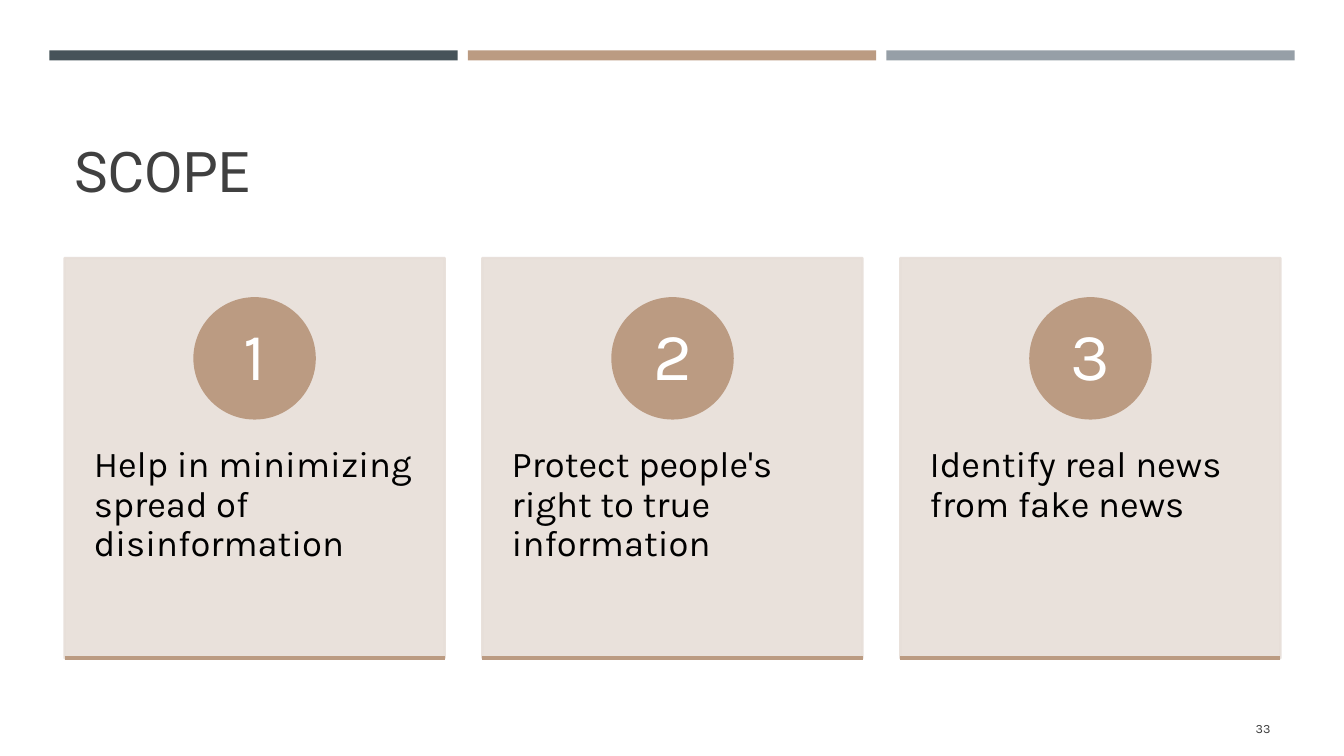
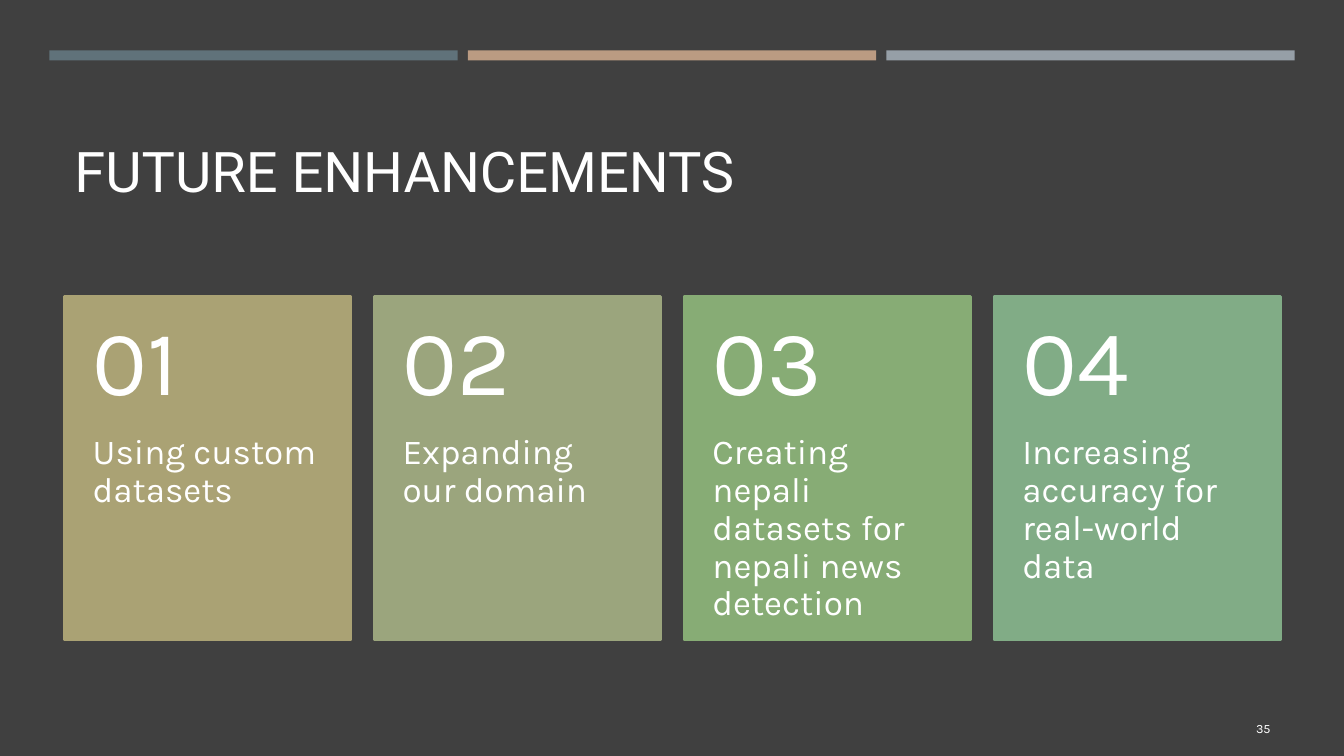
from dataclasses import dataclass

import pptx
import pptx.dml.color
import pptx.enum.shapes
import pptx.enum.text
import pptx.oxml.ns
import pptx.util
from lxml import etree

Inches = pptx.util.Inches
Shape = pptx.enum.shapes.MSO_SHAPE
Anchor = pptx.enum.text.MSO_ANCHOR
Align = pptx.enum.text.PP_ALIGN
qn = pptx.oxml.ns.qn


@dataclass(frozen=True)
class Theme:
    heading_font: str = "Roboto"
    body_font: str = "Karla"
    title_size: int = 40
    badge_size: int = 48
    scope_size: int = 26
    number_size: int = 66
    step_size: int = 25
    footer_size: int = 9
    outline: float = 1.75
    white: str = "FFFFFF"
    black: str = "000000"
    charcoal: str = "404040"
    slate: str = "465359"
    light_slate: str = "60727A"
    tan: str = "BB9B82"
    gray: str = "969FA7"
    sand: str = "E7DED8"
    steps: tuple = ("AAA274", "9BA57D", "87AC75", "81AC86")


def rgb(code):
    return pptx.dml.color.RGBColor.from_string(code)


class Deck:
    left = 0.64
    content_width = 12.06

    def __init__(self, theme):
        self.theme = theme
        self.deck = pptx.Presentation()
        self.deck.slide_width = Inches(13.33)
        self.deck.slide_height = Inches(7.5)
        self.slide = None

    def page(self, title, number, background, ink, first_band):
        theme = self.theme
        self.slide = self.deck.slides.add_slide(self.deck.slide_layouts[6])
        fill = self.slide.background.fill
        fill.solid()
        fill.fore_color.rgb = rgb(background)
        for index, color in enumerate((first_band, theme.tan, theme.gray)):
            self.shape(Shape.RECTANGLE, (0.49 + 4.15 * index, 0.5, 4.05, 0.1), color)
        self.text(title, (self.left, 0.77, self.content_width, 1.3), theme.title_size, ink,
                  font=theme.heading_font, anchor=Anchor.BOTTOM)
        self.text(number, (11.55, 7.03, 1.15, 0.4), theme.footer_size, ink,
                  anchor=Anchor.MIDDLE, align=Align.RIGHT)

    def columns(self, count, width):
        step = (self.content_width - width) / (count - 1)
        return [self.left + step * index for index in range(count)]

    def shape(self, kind, place, color, outlined=False, opacity=100):
        shape = self.slide.shapes.add_shape(kind, *map(Inches, place))
        shape.shadow.inherit = False
        shape.fill.solid()
        shape.fill.fore_color.rgb = rgb(color)
        if outlined:
            shape.line.color.rgb = rgb(color)
            shape.line.width = pptx.util.Pt(self.theme.outline)
        else:
            shape.line.fill.background()
        if opacity < 100:
            for tint in shape.element.spPr.iter(qn("a:srgbClr")):
                etree.SubElement(tint, qn("a:alpha"), val=str(opacity * 1000))

    def rule(self, left, top, width, color):
        line = self.slide.shapes.add_connector(
            pptx.enum.shapes.MSO_CONNECTOR.STRAIGHT,
            Inches(left), Inches(top), Inches(left + width), Inches(top))
        line.line.color.rgb = rgb(color)
        line.line.width = pptx.util.Pt(2 * self.theme.outline - 1)
        etree.SubElement(line.element.spPr, qn("a:effectLst"))

    def text(self, words, place, size, color, font=None, anchor=Anchor.TOP,
             align=Align.LEFT, insets=(0.1, 0.05, 0.1, 0.05), spacing=1.0):
        box = self.slide.shapes.add_textbox(*map(Inches, place))
        frame = box.text_frame
        frame.word_wrap = True
        frame.vertical_anchor = anchor
        (frame.margin_left, frame.margin_top,
         frame.margin_right, frame.margin_bottom) = map(Inches, insets)
        frame.text = words
        para = frame.paragraphs[0]
        para.alignment = align
        para.line_spacing = spacing
        for span in para.runs:
            span.font.name = font or self.theme.body_font
            span.font.size = pptx.util.Pt(size)
            span.font.color.rgb = rgb(color)

    def scope_card(self, left, width, number, words):
        theme = self.theme
        self.shape(Shape.RECTANGLE, (left, 2.56, width, 3.97), theme.sand, True, 90)
        self.text(words, (left, 4.07, width, 2.38), theme.scope_size, theme.black,
                  insets=(0.29, 0.36, 0.29, 0.36), spacing=0.9)
        badge = 1.19
        place = (left + (width - badge) / 2, 2.96, badge, badge)
        self.shape(Shape.OVAL, place, theme.tan, True)
        self.text(str(number), place, theme.badge_size, theme.white,
                  anchor=Anchor.MIDDLE, align=Align.CENTER,
                  insets=(0.09, 0.01, 0.09, 0.01), spacing=0.9)
        self.rule(left, 6.53, width, theme.tan)

    def step_card(self, left, width, number, words, color):
        theme = self.theme
        self.shape(Shape.RECTANGLE, (left, 2.94, width, 3.41), color, True)
        self.text(words, (left, 4.31, width, 2.05), theme.step_size, theme.white,
                  insets=(0.28, 0, 0.28, 0.36), spacing=0.9)
        self.text(f"{number:02}", (left, 2.94, width, 1.37), theme.number_size, theme.white,
                  anchor=Anchor.MIDDLE, insets=(0.28, 0.18, 0.28, 0.18), spacing=0.9)


def main():
    theme = Theme()
    deck = Deck(theme)

    deck.page("SCOPE", "33", theme.white, theme.charcoal, theme.slate)
    goals = (
        "Help in minimizing spread of disinformation",
        "Protect people's right to true information",
        "Identify real news from fake news",
    )
    width = 3.77
    for number, (left, goal) in enumerate(zip(deck.columns(len(goals), width), goals), 1):
        deck.scope_card(left, width, number, goal)

    deck.page("FUTURE ENHANCEMENTS", "35", theme.charcoal, theme.white, theme.light_slate)
    plans = (
        "Using custom datasets",
        "Expanding our domain",
        "Creating nepali datasets for nepali news detection",
        "Increasing accuracy for real-world data",
    )
    width = 2.84
    lefts = deck.columns(len(plans), width)
    for number, (left, plan, color) in enumerate(zip(lefts, plans, theme.steps), 1):
        deck.step_card(left, width, number, plan, color)

    deck.deck.save("out.pptx")


if __name__ == "__main__":
    main()
